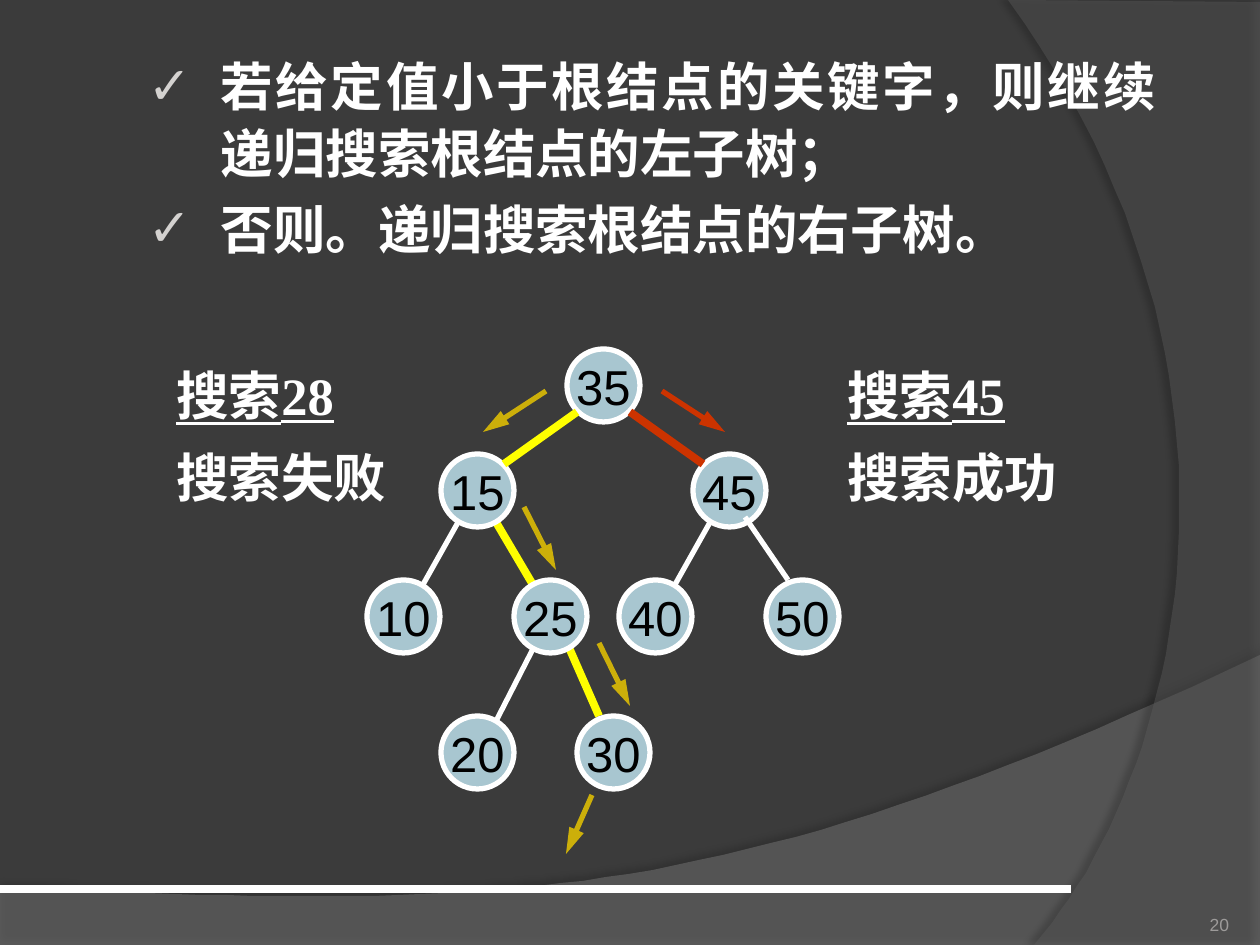
from lxml import etree
from pptx import Presentation
from pptx.dml.color import RGBColor
from pptx.enum.shapes import MSO_CONNECTOR, MSO_SHAPE
from pptx.enum.text import MSO_ANCHOR, MSO_AUTO_SIZE, PP_ALIGN
from pptx.oxml.ns import qn
from pptx.util import Pt

PX = 914400 / 126
WIDTH, HEIGHT = 1260, 945
STRAIGHT, OVAL = MSO_CONNECTOR.STRAIGHT, MSO_SHAPE.OVAL
MIDDLE, BOTTOM = MSO_ANCHOR.MIDDLE, MSO_ANCHOR.BOTTOM
NO_AUTOFIT = MSO_AUTO_SIZE.NONE
CENTER, RIGHT, JUSTIFY = PP_ALIGN.CENTER, PP_ALIGN.RIGHT, PP_ALIGN.JUSTIFY
COLORS = {
    "background": "3B3B3B", "wave": "7F7F7F", "arc": "5E5E5E",
    "white": "FFFFFF", "black": "000000", "node": "A8C6D0",
    "left": "FFFF00", "right": "CC3300", "step": "CCAF0A",
    "bullet": "D4D2D0", "number": "9D9B9A",
}
NODE_SIZE = 73

# Tree parts, relative to the tree's box: left, top
NODES = {
    "35": (200, 0), "15": (74, 105), "45": (326, 105),
    "50": (399, 231), "40": (252, 231), "25": (147, 231), "10": (0, 231),
    "20": (74, 367), "30": (210, 367),
}
# Lines: x1, y1, x2, y2, colour, width in points
EDGES_BEHIND = [
    (346, 168, 305, 241, "white", 3), (200, 294, 232, 367, "left", 4.5),
    (169, 294, 126, 378, "white", 3), (94, 168, 53, 241, "white", 3),
    (126, 168, 169, 241, "left", 4.5),
]
EDGES_FRONT = [
    (210, 63, 137, 115, "left", 4.5), (263, 63, 336, 115, "right", 4.5),
    (378, 168, 421, 231, "white", 3),
]
SEARCH_ARROWS = [
    (295, 42, 358, 83, "right", 3), (179, 42, 116, 83, "step", 3),
    (157, 158, 189, 221, "step", 3), (232, 294, 263, 357, "step", 3),
    (225, 446, 199, 505, "step", 3),
]


def emu(*lengths):
    return [round(length * PX) for length in lengths]


def rgb(name):
    return RGBColor.from_string(COLORS[name])


def add_xml(parent, tag, **attributes):
    return etree.SubElement(parent, qn(tag), attributes)


def style_text(paragraph, size, font_name, color, bold=False, underline=False):
    for run in paragraph.runs:
        font = run.font
        font.size, font.name, font.bold, font.underline = Pt(size), font_name, bold, underline
        font.color.rgb = rgb(color)


def add_line(slide, box, x1, y1, x2, y2, color, width, arrow=False):
    left, top = box
    line = slide.shapes.add_connector(
        STRAIGHT, *emu(left + x1, top + y1, left + x2, top + y2))
    line.line.color.rgb = rgb(color)
    line.line.width = Pt(width)
    if arrow:
        add_xml(line.line._get_or_add_ln(), "a:tailEnd", type="triangle", w="med", len="lg")
    add_xml(line._element.spPr, "a:effectLst")


def bezier(start, control1, control2, end, steps=48):
    points = []
    for step in range(steps + 1):
        t = step / steps
        u = 1 - t
        points.append(tuple(
            u**3 * a + 3 * u * u * t * b + 3 * u * t * t * c + t**3 * d
            for a, b, c, d in zip(start, control1, control2, end)))
    return points


def add_curved_area(slide, points, color, opacity, shadow):
    builder = slide.shapes.build_freeform(*points[0], scale=PX)
    builder.add_line_segments(points[1:], close=True)
    area = builder.convert_to_shape()
    area.fill.solid()
    area.fill.fore_color.rgb = rgb(color)
    area.line.fill.background()
    fill_color = area._element.spPr.find(qn("a:solidFill"))[0]
    add_xml(fill_color, "a:alpha", val=str(opacity * 1000))

    shadow_opacity, blur, distance, angle = shadow
    effects = add_xml(area._element.spPr, "a:effectLst")
    outer = add_xml(effects, "a:outerShdw", blurRad=str(Pt(blur)), dist=str(Pt(distance)),
                    dir=str(angle * 60000), algn="ctr", rotWithShape="0")
    shadow_color = add_xml(outer, "a:srgbClr", val=COLORS["black"])
    add_xml(shadow_color, "a:alpha", val=str(shadow_opacity * 1000))


def add_backdrop(slide):
    slide.background.fill.solid()
    slide.background.fill.fore_color.rgb = rgb("background")
    wave = bezier((WIDTH, 655), (704, 919), (493, 906), (0, 888))
    add_curved_area(slide, wave + [(0, HEIGHT), (WIDTH, HEIGHT)], "wave", 45, (35, 4, 3.5, 270))
    arc = bezier((1034, HEIGHT), (1178, 780), (1283, 378), (1008, 0))
    add_curved_area(slide, arc + [(WIDTH, 2), (WIDTH, HEIGHT)], "arc", 40, (45, 4, 4, 180))
    add_line(slide, (0, 889), 0, 0, 1071, 0, "white", 4.5)


def add_rules(slide, box, rules):
    body = slide.placeholders[1]
    body.left, body.top, body.width, body.height = emu(*box)
    frame = body.text_frame
    frame.auto_size = NO_AUTOFIT
    frame.text = "\n".join(rules)
    margin, hanging = emu(136, -73)
    for index, paragraph in enumerate(frame.paragraphs):
        paragraph.level = 1
        paragraph.alignment = JUSTIFY
        paragraph.line_spacing = 1.05
        paragraph.space_before = Pt(6 if index else 0)
        properties = paragraph._p.get_or_add_pPr()
        properties.set("marL", str(margin))
        properties.set("indent", str(hanging))
        add_xml(add_xml(properties, "a:buClr"), "a:srgbClr", val=COLORS["bullet"])
        add_xml(properties, "a:buChar", char="✓")
        style_text(paragraph, 30, "Arial", "white", bold=True)


def add_search_result(slide, box, search, result):
    frame = slide.shapes.add_textbox(*emu(*box)).text_frame
    frame.word_wrap = False
    frame.text = f"{search}\n{result}"
    heading, outcome = frame.paragraphs
    style_text(heading, 30, "Times New Roman", "white", bold=True, underline=True)
    style_text(outcome, 30, "Times New Roman", "white", bold=True)
    outcome.space_before = Pt(10.5)


def add_node(slide, left, top, key):
    node = slide.shapes.add_shape(OVAL, *emu(left, top, NODE_SIZE, NODE_SIZE))
    node.shadow.inherit = False
    node.fill.solid()
    node.fill.fore_color.rgb = rgb("node")
    node.line.color.rgb = rgb("white")
    node.line.width = Pt(3)
    frame = node.text_frame
    frame.word_wrap = False
    frame.vertical_anchor = MIDDLE
    frame.text = key
    frame.paragraphs[0].alignment = CENTER
    style_text(frame.paragraphs[0], 28, "Arial", "black")


def add_search_tree(slide, box):
    for edge in EDGES_BEHIND:
        add_line(slide, box, *edge)
    for key, (x, y) in NODES.items():
        add_node(slide, box[0] + x, box[1] + y, key)
    for edge in EDGES_FRONT:
        add_line(slide, box, *edge)
    for step in SEARCH_ARROWS:
        add_line(slide, box, *step, arrow=True)


def add_page_number(slide, box, number):
    frame = slide.shapes.add_textbox(*emu(*box)).text_frame
    frame.margin_left = frame.margin_right = frame.margin_top = frame.margin_bottom = 0
    frame.word_wrap = True
    frame.vertical_anchor = BOTTOM
    frame.text = number
    frame.paragraphs[0].alignment = RIGHT
    style_text(frame.paragraphs[0], 10, "Arial", "number")


def main():
    deck = Presentation()
    deck.slide_width, deck.slide_height = emu(WIDTH, HEIGHT)
    slide = deck.slides.add_slide(deck.slide_layouts[1])
    unused_title = slide.shapes.title._element
    unused_title.getparent().remove(unused_title)

    add_backdrop(slide)
    # Bring the rules in front of the backdrop
    slide.shapes._spTree.append(slide.placeholders[1]._element)
    add_rules(slide, (72, 45, 1097, 248), [
        "若给定值小于根结点的关键字，则继续递归搜索根结点的左子树；",
        "否则。递归搜索根结点的右子树。",
    ])
    add_page_number(slide, (1124, 885, 105, 50), "20")
    add_search_result(slide, (835, 357, 237, 161), "搜索45", "搜索成功")
    add_search_result(slide, (164, 357, 237, 161), "搜索28", "搜索失败")
    add_search_tree(slide, (367, 349))
    deck.save("out.pptx")


if __name__ == "__main__":
    main()
